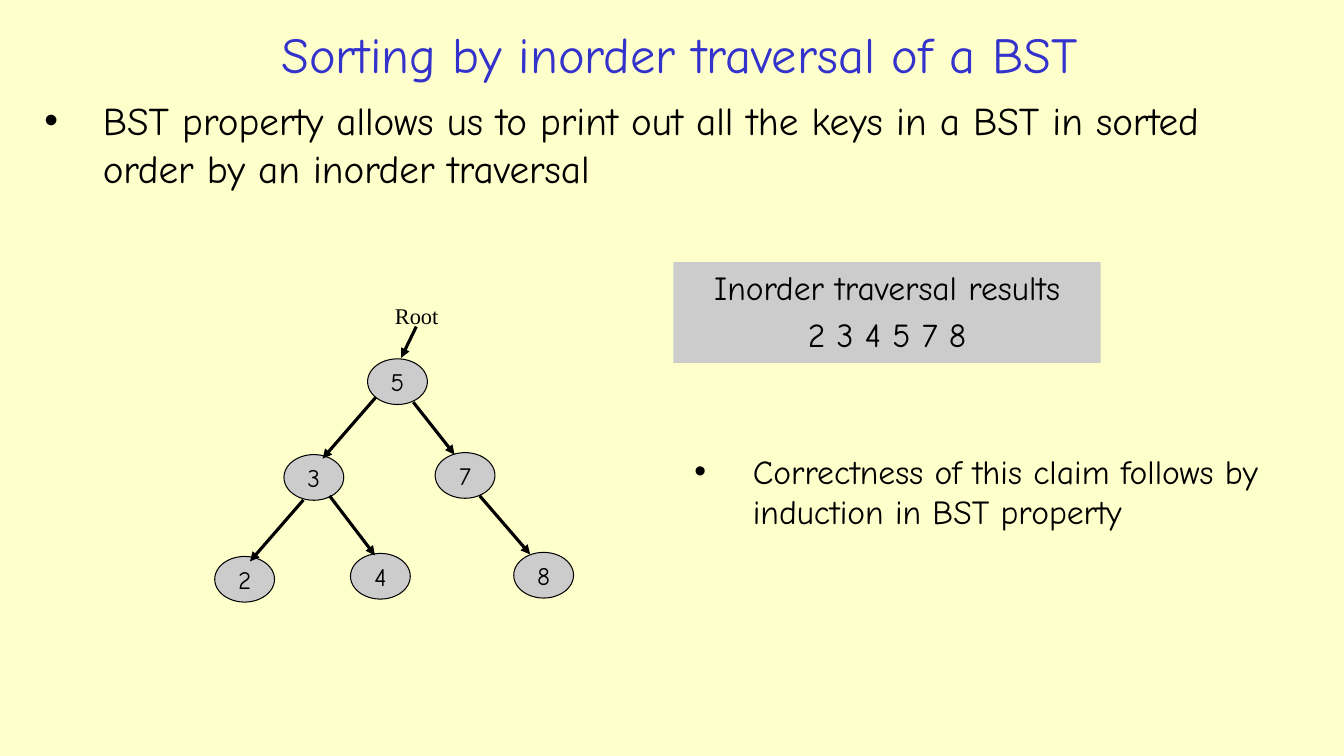
from dataclasses import dataclass

import pptx
import pptx.dml.color
import pptx.enum.shapes
import pptx.enum.text
import pptx.oxml
import pptx.oxml.ns
import pptx.util

SLIDE_WIDTH = pptx.util.Inches(13.33)
SLIDE_HEIGHT = pptx.util.Inches(7.5)
COLUMNS = 40
ROWS = 22.5

HAND_FONT = "Comic Neue"
BLACK = "000000"
GREY = "CCCCCC"
NODE_WIDTH = 1.78
NODE_HEIGHT = 1.36
BULLET_INDENT = 1.74


@dataclass(frozen=True)
class Area:
    """A rectangle in grid columns and rows."""
    column: float
    row: float
    width: float
    height: float


@dataclass(frozen=True)
class Node:
    """A tree key, placed by the centre of its ellipse."""
    key: str
    column: float
    row: float


@dataclass(frozen=True)
class Arrow:
    start: tuple[float, float]
    end: tuple[float, float]


NODES = [
    Node("5", 11.83, 11.36),
    Node("3", 9.34, 14.21),
    Node("7", 13.84, 14.15),
    Node("2", 7.28, 17.24),
    Node("4", 11.32, 17.15),
    Node("8", 16.18, 17.12),
]
ARROWS = [
    Arrow((12.39, 9.72), (11.94, 10.65)),
    Arrow((11.19, 11.82), (9.6, 13.65)),
    Arrow((12.3, 11.97), (13.53, 13.53)),
    Arrow((9.03, 14.88), (7.44, 16.71)),
    Arrow((9.81, 14.76), (11.16, 16.53)),
    Arrow((14.28, 14.76), (15.78, 16.5)),
]


def across(columns: float) -> int:
    return round(SLIDE_WIDTH * columns / COLUMNS)


def down(rows: float) -> int:
    return round(SLIDE_HEIGHT * rows / ROWS)


def bounds(area: Area) -> tuple[int, int, int, int]:
    return across(area.column), down(area.row), across(area.width), down(area.height)


def place(shape, area: Area) -> None:
    shape.left, shape.top, shape.width, shape.height = bounds(area)


def paint(color_format, color: str) -> None:
    color_format.rgb = pptx.dml.color.RGBColor.from_string(color)


def add_bullet(para) -> None:
    properties = para._p.get_or_add_pPr()
    properties.set("marL", str(across(BULLET_INDENT)))
    properties.set("indent", str(-across(BULLET_INDENT)))
    for tag, name, value in (("buFont", "typeface", "Arial"), ("buChar", "char", "•")):
        element = pptx.oxml.parse_xml(f'<a:{tag} {pptx.oxml.ns.nsdecls("a")}/>')
        element.set(name, value)
        properties.append(element)


def write(shape, text: str, size: float, color: str = BLACK, font: str = HAND_FONT,
          centred: bool = False, middle: bool = False, wrap: bool = True,
          bullet: bool = False) -> None:
    frame = shape.text_frame
    frame.text = text
    frame.word_wrap = wrap
    frame.auto_size = pptx.enum.text.MSO_AUTO_SIZE.NONE
    anchors = pptx.enum.text.MSO_ANCHOR
    frame.vertical_anchor = anchors.MIDDLE if middle else anchors.TOP
    alignments = pptx.enum.text.PP_ALIGN
    for index, para in enumerate(frame.paragraphs):
        if bullet:
            add_bullet(para)
        para.alignment = alignments.CENTER if centred else alignments.LEFT
        para.space_before = pptx.util.Pt(0.2 * size if index else 0)
        for span in para.runs:
            span.font.name = font
            span.font.size = pptx.util.Pt(size)
            paint(span.font.color, color)


def add_filled_shape(page, kind, area: Area):
    shape = page.shapes.add_shape(kind, *bounds(area))
    shape.shadow.inherit = False
    shape.fill.solid()
    paint(shape.fill.fore_color, GREY)
    shape.line.fill.background()
    return shape


def draw_node(page, node: Node) -> None:
    area = Area(node.column - NODE_WIDTH / 2, node.row - NODE_HEIGHT / 2,
                NODE_WIDTH, NODE_HEIGHT)
    ellipse = add_filled_shape(page, pptx.enum.shapes.MSO_SHAPE.OVAL, area)
    paint(ellipse.line.color, BLACK)
    ellipse.line.width = pptx.util.Pt(0.75)
    write(ellipse, node.key, 18, centred=True, middle=True, wrap=False)


def draw_arrow(page, arrow: Arrow) -> None:
    connector = page.shapes.add_connector(
        pptx.enum.shapes.MSO_CONNECTOR.STRAIGHT,
        across(arrow.start[0]), down(arrow.start[1]),
        across(arrow.end[0]), down(arrow.end[1]))
    paint(connector.line.color, BLACK)
    connector.line.width = pptx.util.Pt(2.25)
    namespace = pptx.oxml.ns.nsdecls("a")
    connector.line._get_or_add_ln().append(
        pptx.oxml.parse_xml(f'<a:tailEnd {namespace} type="triangle"/>'))
    connector._element.spPr.append(pptx.oxml.parse_xml(f"<a:effectLst {namespace}/>"))


def main() -> None:
    deck = pptx.Presentation()
    deck.slide_width = SLIDE_WIDTH
    deck.slide_height = SLIDE_HEIGHT
    page = deck.slides.add_slide(deck.slide_layouts[1])
    page.background.fill.solid()
    paint(page.background.fill.fore_color, "FFFFCC")

    title = page.shapes.title
    place(title, Area(5.91, 0.45, 28.62, 2.28))
    write(title, "Sorting by inorder traversal of a BST", 36, "3333CC",
          centred=True, middle=True)

    body = page.placeholders[1]
    place(body, Area(1.02, 2.73, 37.8, 5.25))
    write(body, "BST property allows us to print out all the keys in a BST "
          "in sorted order by an inorder traversal", 28, bullet=True)

    for node in NODES:
        draw_node(page, node)
    for arrow in ARROWS:
        draw_arrow(page, arrow)
    root_label = page.shapes.add_textbox(*bounds(Area(11.46, 8.85, 1.98, 1.11)))
    write(root_label, "Root", 16, font="Times New Roman", wrap=False)

    results = add_filled_shape(page, pptx.enum.shapes.MSO_SHAPE.RECTANGLE,
                               Area(20.04, 7.8, 12.72, 3))
    write(results, "Inorder traversal results\n2 3 4 5 7 8", 24, centred=True)

    claim = page.shapes.add_textbox(*bounds(Area(20.37, 13.26, 18.12, 5.25)))
    write(claim, "Correctness of this claim follows by induction in BST property",
          24, bullet=True)

    deck.save("out.pptx")


if __name__ == "__main__":
    main()
